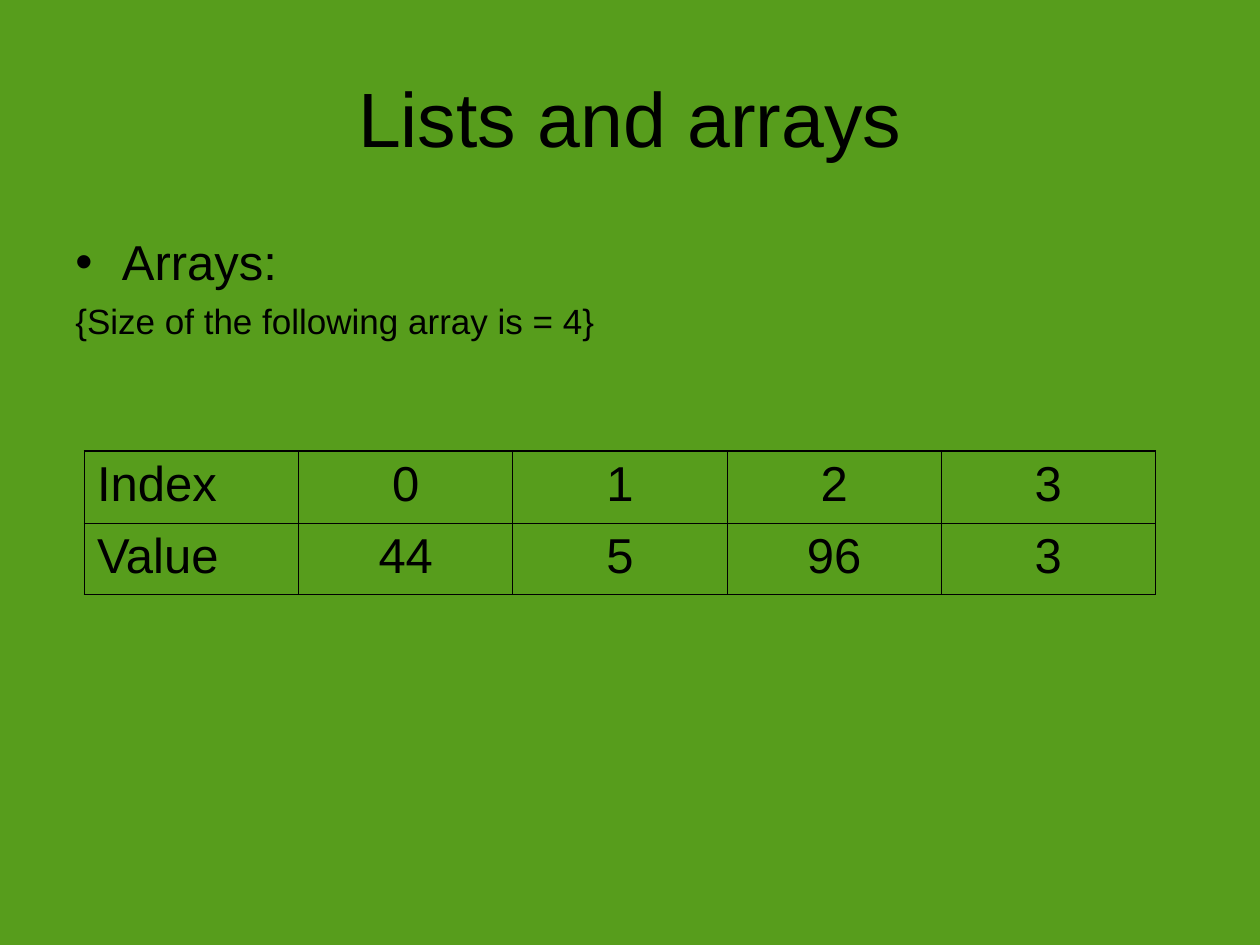
from dataclasses import dataclass

from lxml.etree import SubElement
from pptx import Presentation
from pptx.dml.color import RGBColor
from pptx.enum.text import MSO_ANCHOR as Anchor, PP_ALIGN as Align
from pptx.oxml.ns import qn
from pptx.util import Inches, Pt


@dataclass(frozen=True)
class Theme:
    font: str = "Arial"
    background: str = "579D1C"
    ink: str = "000000"
    title_size: int = 44
    main_size: int = 28
    note_size: int = 20
    outer_line: float = 1.08
    inner_line: float = 0.45


THEME = Theme()
ROWS = [["Index", "0", "1", "2", "3"],
        ["Value", "44", "5", "96", "3"]]


def style(para, size, align=Align.LEFT):
    para.alignment = align
    para.font.name = THEME.font
    para.font.size = Pt(size)
    para.font.color.rgb = RGBColor.from_string(THEME.ink)


def add_title(page, text):
    title = page.shapes.title
    title.left, title.top = Inches(0.5), Inches(0.3)
    title.width, title.height = Inches(9), Inches(1.25)
    title.text_frame.vertical_anchor = Anchor.MIDDLE
    title.text_frame.text = text
    style(title.text_frame.paragraphs[0], THEME.title_size, Align.CENTER)


def set_indent(para, bullet=None):
    """Hang the first line, with a bullet if one is given."""
    properties = para._p.get_or_add_pPr()
    properties.set("marL", str(Inches(0.37)))
    properties.set("indent", str(-Inches(0.37)))
    if bullet:
        SubElement(properties, qn("a:buFont"), typeface=THEME.font)
        SubElement(properties, qn("a:buChar"), char=bullet)
    else:
        SubElement(properties, qn("a:buNone"))


def add_body(page, heading, note):
    box = page.shapes.add_textbox(Inches(0.5), Inches(1.75), Inches(9), Inches(1.58))
    frame = box.text_frame
    frame.word_wrap = True
    frame.margin_top = Inches(0.09)

    para = frame.paragraphs[0]
    para.text = heading
    set_indent(para, "•")
    style(para, THEME.main_size)

    para = frame.add_paragraph()
    para.text = note
    set_indent(para)
    para.space_before = Pt(5)
    style(para, THEME.note_size)


def set_borders(cell, outer_sides):
    """Draw all four edges, thicker on the outside of the table."""
    properties = cell._tc.get_or_add_tcPr()
    for side in ("L", "R", "T", "B"):
        width = THEME.outer_line if side in outer_sides else THEME.inner_line
        line = SubElement(properties, qn(f"a:ln{side}"), w=str(Pt(width)))
        fill = SubElement(line, qn("a:solidFill"))
        SubElement(fill, qn("a:srgbClr"), val=THEME.ink)


def add_array_table(page, rows):
    row_count, column_count = len(rows), len(rows[0])
    table = page.shapes.add_table(
        row_count, column_count, Inches(0.67), Inches(3.58),
        Inches(1.7 * column_count), Inches(0.57 * row_count)).table
    table.first_row = False
    table.horz_banding = False

    for row, values in enumerate(rows):
        for column, value in enumerate(values):
            cell = table.cell(row, column)
            cell.text = value
            style(cell.text_frame.paragraphs[0], THEME.main_size,
                  Align.CENTER if column else Align.LEFT)
            edges = {"L": column == 0, "R": column == column_count - 1,
                     "T": row == 0, "B": row == row_count - 1}
            set_borders(cell, [side for side, outer in edges.items() if outer])
            cell.fill.background()


def main():
    deck = Presentation()
    deck.slide_width, deck.slide_height = Inches(10), Inches(7.5)
    page = deck.slides.add_slide(deck.slide_layouts[5])

    # Background
    page.background.fill.solid()
    page.background.fill.fore_color.rgb = RGBColor.from_string(THEME.background)

    # Title, introduction and array
    add_title(page, "Lists and arrays")
    add_body(page, "Arrays:", "{Size of the following array is = 4}")
    add_array_table(page, ROWS)

    deck.save("out.pptx")


if __name__ == "__main__":
    main()
